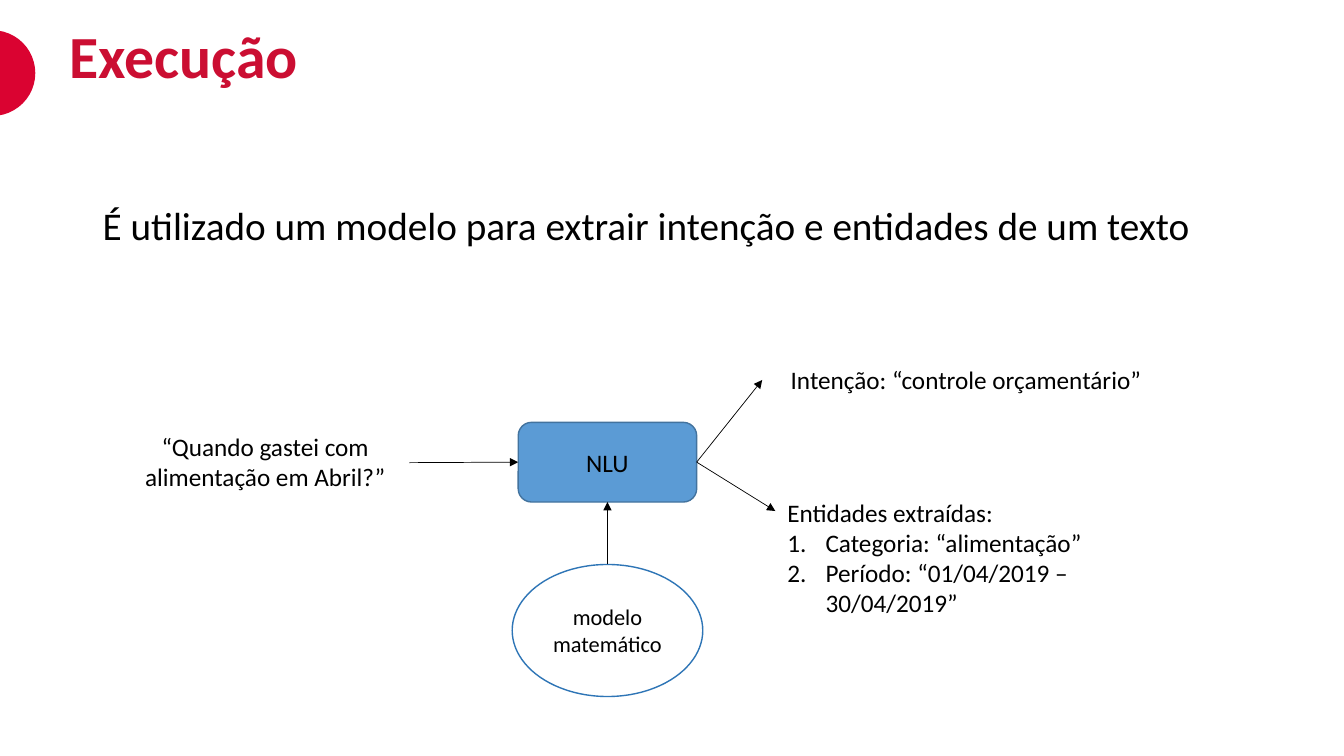
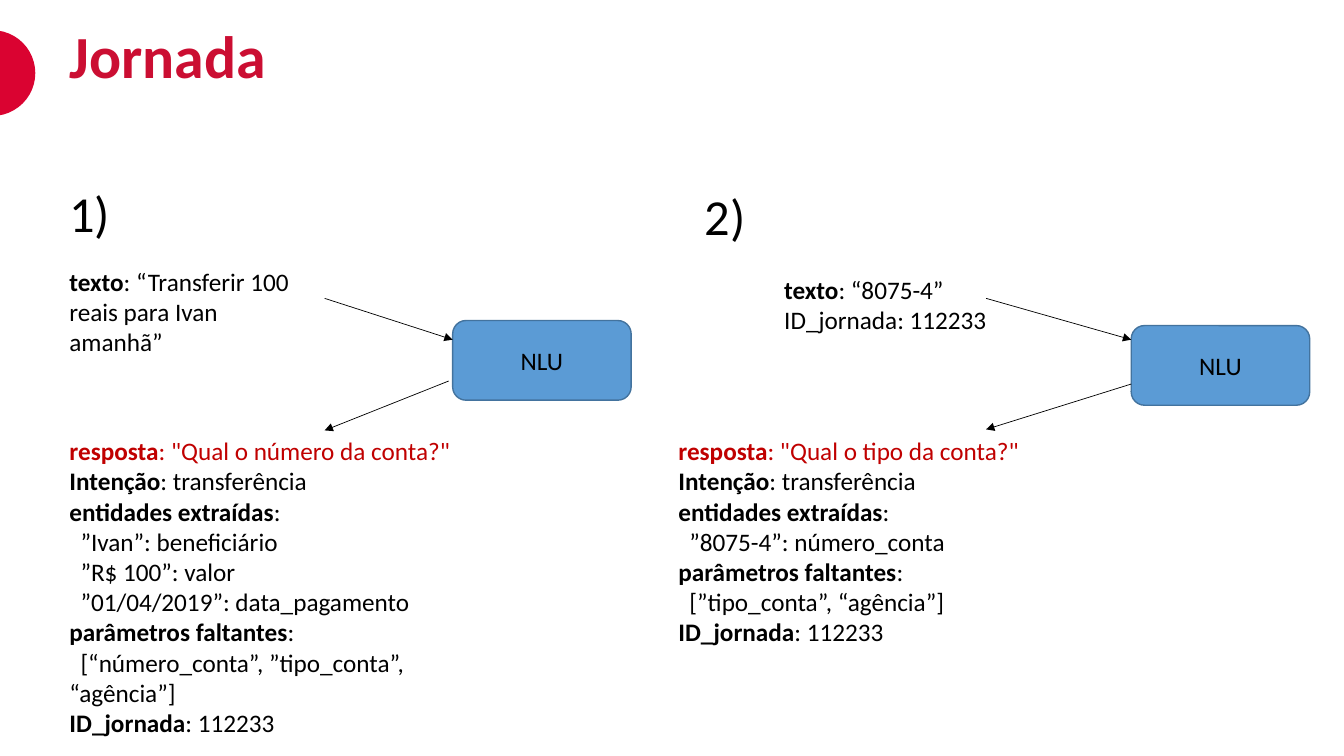
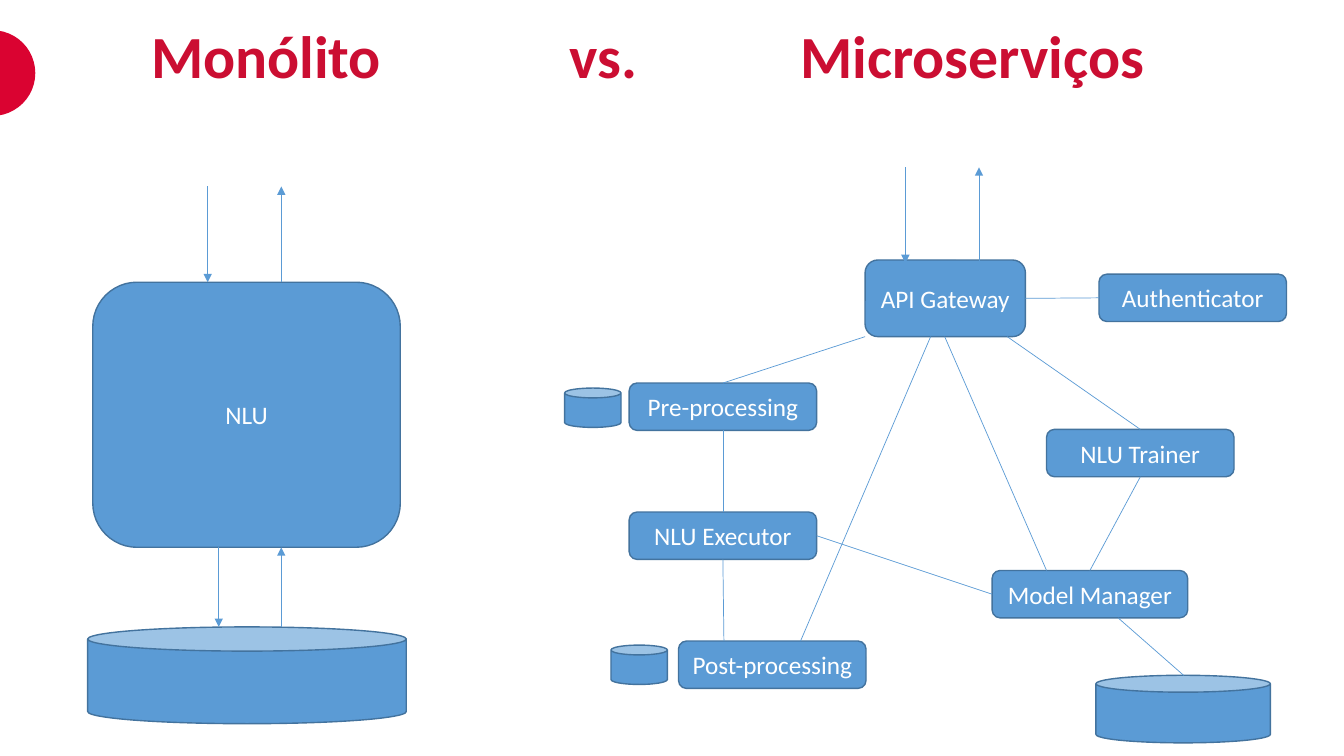
"""Build three slides on an NLU service: execution, journey and architecture."""
from pptx import Presentation
from pptx.dml.color import RGBColor
from pptx.enum import shapes, text
from pptx.oxml.ns import qn
from pptx.util import Inches, Pt
from lxml import etree

FONT = "Calibri"
BLACK = RGBColor(0x00, 0x00, 0x00)
WHITE = RGBColor(0xFF, 0xFF, 0xFF)
RED = RGBColor(0xDA, 0x03, 0x31)
TITLE_RED = RGBColor(0xCB, 0x0E, 0x32)
ANSWER_RED = RGBColor(0xC0, 0x00, 0x00)
BLUE = RGBColor(0x5B, 0x9B, 0xD5)
BLUE_EDGE = RGBColor(0x43, 0x73, 0x9E)
MODEL_EDGE = RGBColor(0x2E, 0x75, 0xB6)

ROUND = shapes.MSO_SHAPE.ROUNDED_RECTANGLE
OVAL = shapes.MSO_SHAPE.OVAL
CAN = shapes.MSO_SHAPE.CAN
CENTER = text.PP_ALIGN.CENTER
TOP, LEFT, BOTTOM, RIGHT = range(4)


def style(p, size, color, align=None):
    p.font.name = FONT
    p.font.size = Pt(size)
    p.font.color.rgb = color
    p.alignment = align


def add_text(s, box, lines, size=18, color=BLACK, align=None, wrap=True):
    """Each line is a plain string or a (bold label, rest) pair."""
    tf = s.shapes.add_textbox(*map(Inches, box)).text_frame
    tf.word_wrap = wrap
    for i, line in enumerate(lines):
        p = tf.paragraphs[0] if i == 0 else tf.add_paragraph()
        style(p, size, color, align)
        if isinstance(line, str):
            p.add_run().text = line
        else:
            for part, bold in zip(line, (True, False)):
                r = p.add_run()
                r.text = part
                r.font.bold = bold
    return tf.paragraphs


def add_node(s, kind, box, label="", size=18, color=WHITE, fill=BLUE, edge=BLUE_EDGE):
    sp = s.shapes.add_shape(kind, *map(Inches, box))
    sp.shadow.inherit = False
    sp.fill.solid()
    sp.fill.fore_color.rgb = fill
    if edge is None:
        sp.line.fill.background()
    else:
        sp.line.color.rgb = edge
        sp.line.width = Pt(1)
    if label:
        tf = sp.text_frame
        tf.word_wrap = True
        tf.vertical_anchor = text.MSO_ANCHOR.MIDDLE
        p = tf.paragraphs[0]
        p.add_run().text = label
        style(p, size, color, CENTER)
    return sp


def add_link(s, start, end, color=BLUE, arrow=False):
    """Each end is an (x, y) point in inches or a (shape, side) pair."""
    joined = [not isinstance(e[0], (int, float)) for e in (start, end)]
    points = [(0, 0) if j else map(Inches, e) for j, e in zip(joined, (start, end))]
    c = s.shapes.add_connector(shapes.MSO_CONNECTOR.STRAIGHT, *points[0], *points[1])
    if joined[0]:
        c.begin_connect(*start)
    if joined[1]:
        c.end_connect(*end)
    c.line.color.rgb = color
    c.line.width = Pt(0.5)
    if arrow:
        etree.SubElement(c.line._get_or_add_ln(), qn("a:tailEnd"), type="triangle")
    etree.SubElement(c._element.spPr, qn("a:effectLst"))


def add_arrow_pair(s, x_down, x_up, top, bottom):
    add_link(s, (x_down, top), (x_down, bottom), arrow=True)
    add_link(s, (x_up, bottom), (x_up, top), arrow=True)


def set_tabs(p, stops):
    tabs = etree.Element(qn("a:tabLst"))
    for stop in stops:
        etree.SubElement(tabs, qn("a:tab"), pos=str(Inches(stop)), algn="l")
    p._p.get_or_add_pPr().find(qn("a:defRPr")).addprevious(tabs)


def number(p):
    pPr = p._p.get_or_add_pPr()
    pPr.set("marL", str(Inches(0.38)))
    pPr.set("indent", str(-Inches(0.38)))
    bullet = etree.Element(qn("a:buAutoNum"), type="arabicPeriod")
    pPr.find(qn("a:defRPr")).addprevious(bullet)


def new_slide(prs, title, tabs=()):
    s = prs.slides.add_slide(prs.slide_layouts[6])
    add_node(s, OVAL, (-0.5, 0.3, 0.85, 0.85), fill=RED, edge=None)
    p = add_text(s, (0.59, 0.33, 12.6, 0.63), [title], 42.7, TITLE_RED)[0]
    p.font.bold = True
    p.line_spacing = 0.7
    if tabs:
        set_tabs(p, tabs)
    return s


def add_answer(s, box, lines):
    """Write a reply whose first line is red and whose plain lines are indented."""
    paragraphs = add_text(s, box, lines)
    paragraphs[0].font.color.rgb = ANSWER_RED
    for p, line in zip(paragraphs, lines):
        if isinstance(line, str):
            p._p.get_or_add_pPr().set("indent", str(Inches(0.11)))


def execution(prs):
    s = new_slide(prs, "Execução")
    p = add_text(s, (0.92, 2, 11.13, 0.93),
                 ["É utilizado um modelo para extrair intenção e entidades de um texto"], 28)[0]
    p.line_spacing = 0.9
    add_text(s, (0.92, 4.23, 3.42, 0.71), ["“Quando gastei com alimentação em Abril?”"], align=CENTER)
    add_text(s, (7.56, 3.57, 4.04, 0.4), ["Intenção: “controle orçamentário”"], align=CENTER)
    entities = add_text(s, (7.71, 4.88, 3.92, 1.31), [
        "Entidades extraídas:", "Categoria: “alimentação”", "Período: “01/04/2019 – 30/04/2019”"])
    for p in entities[1:]:
        number(p)
    nlu = add_node(s, ROUND, (5.14, 4.19, 1.77, 0.79), "NLU", color=BLACK)
    model = add_node(s, OVAL, (5.08, 5.6, 1.89, 1.31), "modelo matemático", 16, BLACK, WHITE, MODEL_EDGE)
    for start, end in (((4.06, 4.59), (nlu, LEFT)), ((nlu, RIGHT), (7.56, 3.77)),
                       ((nlu, RIGHT), (7.69, 5.07)), ((model, TOP), (nlu, BOTTOM))):
        add_link(s, start, end, BLACK, arrow=True)


def journey(prs):
    s = new_slide(prs, "Jornada")
    add_text(s, (0.59, 1.76, 0.61, 0.71), ["1)"], 36, wrap=False)
    add_text(s, (6.89, 1.79, 0.61, 0.71), ["2)"], 36, wrap=False)
    add_text(s, (0.59, 2.59, 2.63, 1.01), [("texto", ": “Transferir 100 reais para Ivan amanhã”")])
    add_text(s, (7.68, 2.67, 2.63, 0.71), [("texto", ": “8075-4”"), "ID_jornada: 112233"])
    add_answer(s, (0.59, 4.27, 4.25, 3.43), [
        ("resposta", ": \"Qual o número da conta?\""),
        ("Intenção", ": transferência"),
        ("entidades extraídas", ":"),
        "”Ivan”: beneficiário",
        "”R$ 100”: valor",
        "”01/04/2019”: data_pagamento",
        ("parâmetros faltantes", ":"),
        "[“número_conta”, ”tipo_conta”, “agência”]",
        ("ID_jornada", ": 112233")])
    add_answer(s, (6.63, 4.27, 4.41, 2.83), [
        ("resposta", ": \"Qual o tipo da conta?\""),
        ("Intenção", ": transferência"),
        ("entidades extraídas", ":"),
        "”8075-4”: número_conta",
        ("parâmetros faltantes", ":"),
        "[”tipo_conta”, “agência”]",
        ("ID_jornada", ": 112233")])
    for x, y in ((4.49, 3.18), (11.22, 3.23)):
        add_node(s, ROUND, (x, y, 1.77, 0.79), "NLU", color=BLACK)
    for start, end in (((3.22, 2.96), (4.49, 3.37)), ((4.45, 3.78), (3.22, 4.27)),
                       ((9.78, 2.96), (11.22, 3.37)), ((11.22, 3.81), (9.78, 4.26))):
        add_link(s, start, end, BLACK, arrow=True)


def architecture(prs):
    s = new_slide(prs, "\tMonólito\tvs.\tMicroserviços", (0.81, 4.96, 7.25))

    add_node(s, ROUND, (0.92, 2.8, 3.05, 2.63), "NLU")
    for box in ((0.87, 6.22, 3.16, 0.96), (5.6, 3.85, 0.56, 0.39),
                (6.06, 6.4, 0.56, 0.39), (10.87, 6.7, 1.73, 0.67)):
        add_node(s, CAN, box)

    def service(label, x, y, w=1.86, h=0.47):
        return add_node(s, ROUND, (x, y, w, h), label)

    gateway = service("API Gateway", 8.58, 2.58, 1.59, 0.76)
    authenticator = service("Authenticator", 10.9, 2.72)
    pre = service("Pre-processing", 6.24, 3.8)
    executor = service("NLU Executor", 6.24, 5.08)
    service("Post-processing", 6.73, 6.36)
    trainer = service("NLU Trainer", 10.38, 4.26)
    manager = service("Model Manager", 9.84, 5.66, 1.94)

    add_arrow_pair(s, 2.06, 2.79, 1.85, 2.8)
    add_arrow_pair(s, 2.17, 2.79, 5.43, 6.22)
    add_arrow_pair(s, 8.98, 9.71, 1.66, 2.61)
    for start, end in (((gateway, RIGHT), (authenticator, LEFT)),
                       ((8.58, 3.34), (pre, TOP)),
                       ((9.23, 3.34), (7.94, 6.36)),
                       ((9.37, 3.34), (10.38, 5.66)),
                       ((9.99, 3.34), (trainer, TOP)),
                       ((pre, BOTTOM), (executor, TOP)),
                       ((executor, BOTTOM), (7.18, 6.36)),
                       ((manager, LEFT), (executor, RIGHT)),
                       ((trainer, BOTTOM), (manager, TOP)),
                       ((11.09, 6.13), (11.74, 6.7))):
        add_link(s, start, end)


def main():
    prs = Presentation()
    prs.slide_width = Inches(13.33)
    prs.slide_height = Inches(7.5)
    execution(prs)
    journey(prs)
    architecture(prs)
    prs.save("out.pptx")


if __name__ == "__main__":
    main()
